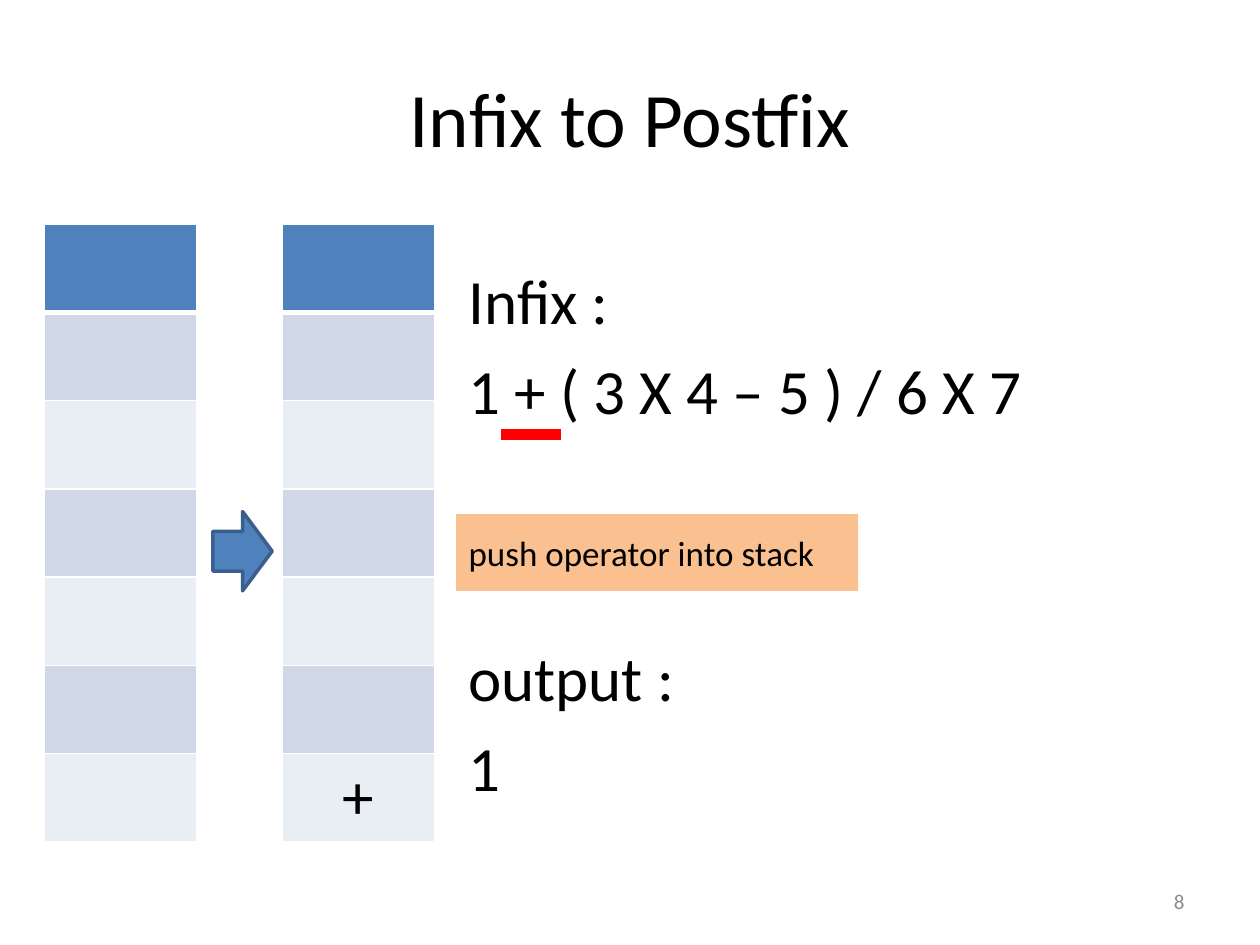
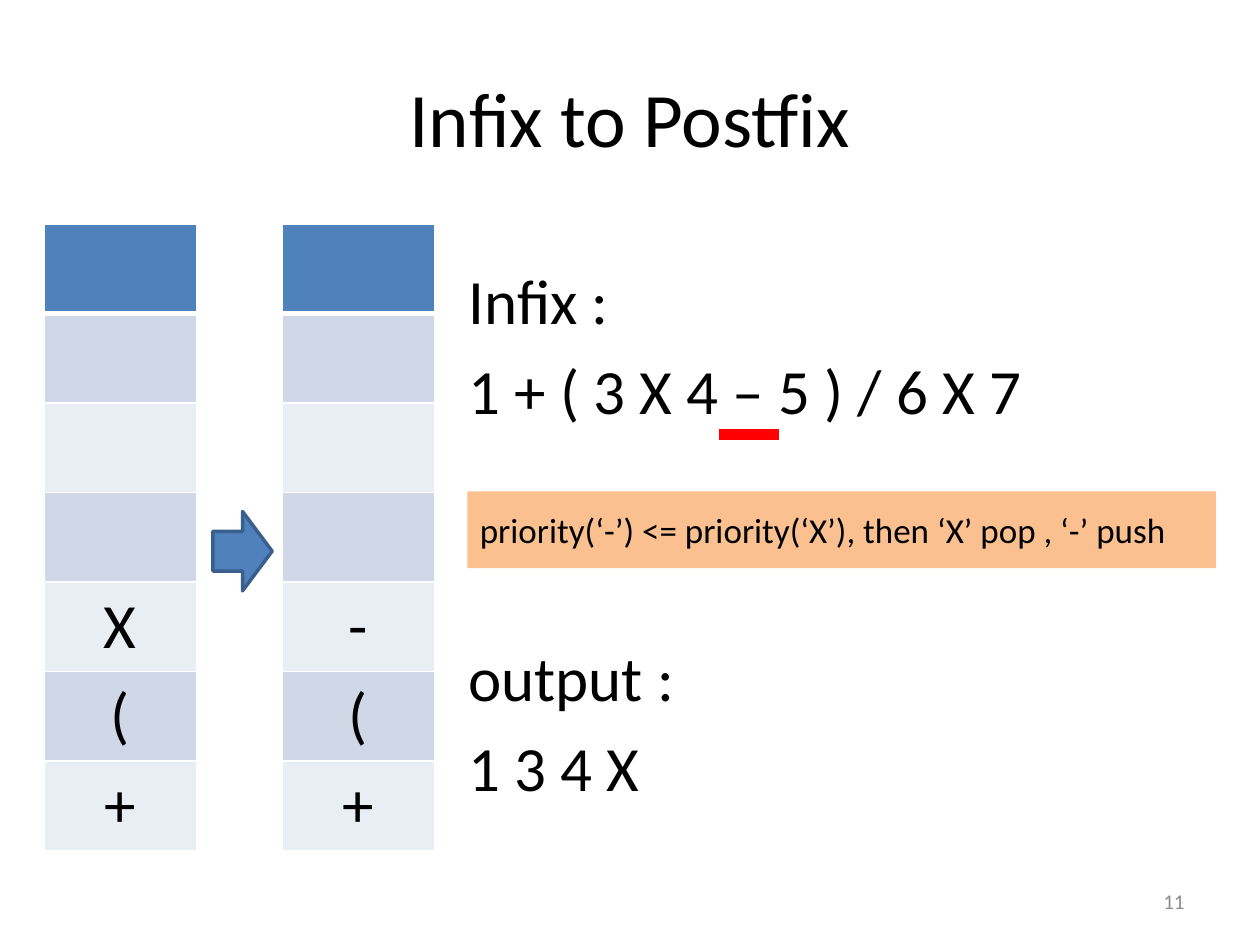
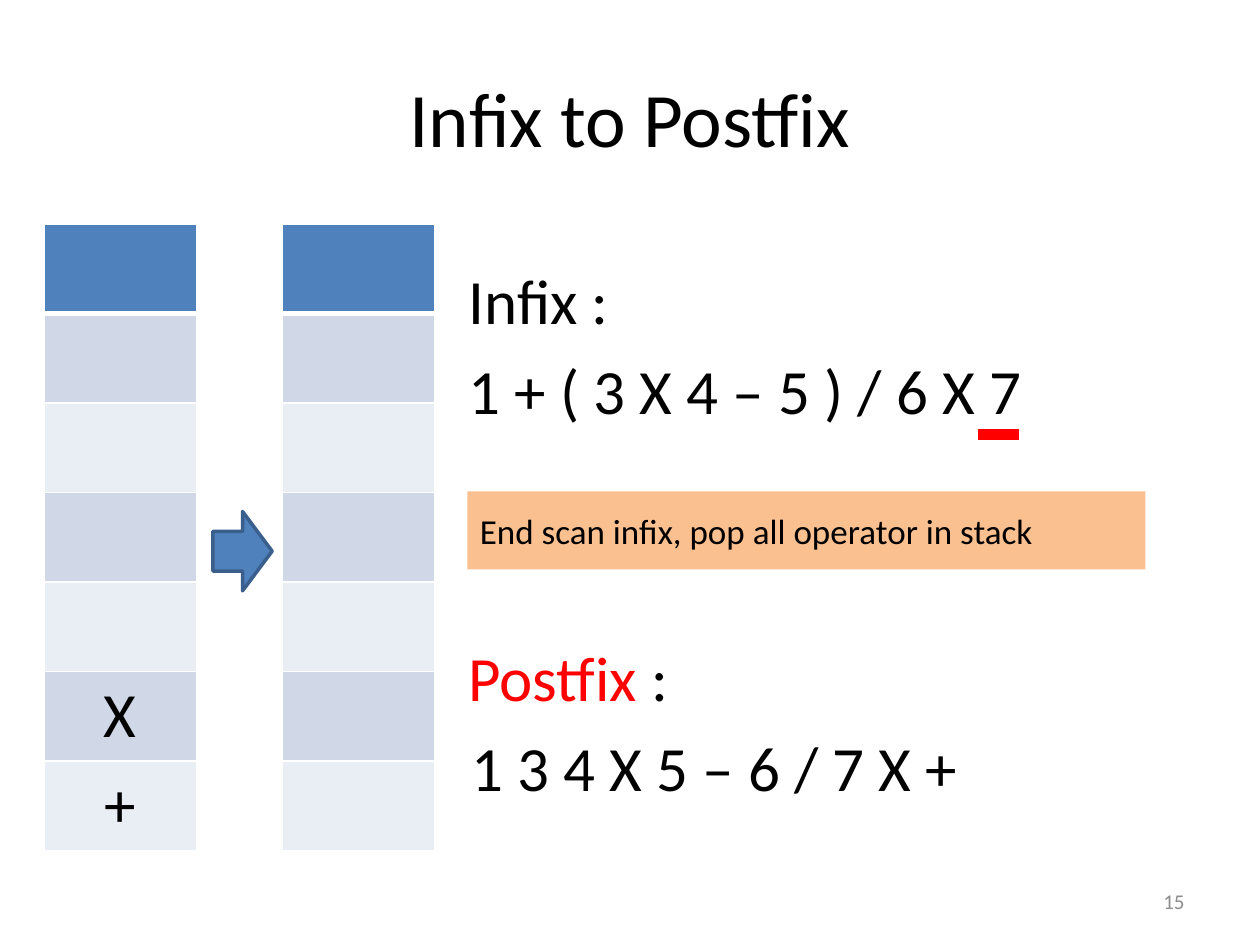
from dataclasses import dataclass

from lxml import etree
from pptx import Presentation
from pptx.dml.color import RGBColor
from pptx.enum.shapes import MSO_CONNECTOR, MSO_SHAPE
from pptx.enum.text import MSO_ANCHOR, MSO_AUTO_SIZE, PP_ALIGN
from pptx.oxml.ns import qn
from pptx.util import Inches, Pt

BLACK = RGBColor(0x00, 0x00, 0x00)
WHITE = RGBColor(0xFF, 0xFF, 0xFF)
RED = RGBColor(0xFF, 0x00, 0x00)
GREY = RGBColor(0x8C, 0x8C, 0x8C)
BLUE = RGBColor(0x4F, 0x81, 0xBD)
DARK_BLUE = RGBColor(0x3A, 0x5F, 0x8C)
BAND_DARK = RGBColor(0xD0, 0xD8, 0xE8)
BAND_LIGHT = RGBColor(0xE9, 0xED, 0xF4)
ORANGE = RGBColor(0xFA, 0xC0, 0x90)

LEFT, CENTER, RIGHT = PP_ALIGN.LEFT, PP_ALIGN.CENTER, PP_ALIGN.RIGHT
TOP, MIDDLE = MSO_ANCHOR.TOP, MSO_ANCHOR.MIDDLE
FIT = MSO_AUTO_SIZE.SHAPE_TO_FIT_TEXT
STRAIGHT = MSO_CONNECTOR.STRAIGHT
RECT, RIGHT_ARROW = MSO_SHAPE.RECTANGLE, MSO_SHAPE.RIGHT_ARROW

FONT = "Calibri"
BODY = 36
WIDTH, HEIGHT = Inches(10), Inches(7.5)
COLUMNS, ROWS = 100, 75  # layout grid of the slide
CELL_W, CELL_H = WIDTH / COLUMNS, HEIGHT / ROWS

TITLE = "Infix to Postfix"
INFIX = "1 + ( 3 X 4 – 5 ) / 6 X 7"
LEVELS = 7  # rows of a stack, header included

# Boxes are left, top, width, height in grid columns and rows.
TITLE_BOX = (5, 3, 90, 12.5)
NUMBER_BOX = (71.7, 69.5, 23.3, 4)
STACKS_BOX = (3.5, 17.8, 31, 49)
EXPRESSION_BOX = (36.2, 20.3, 62.9, 14.2)
OUTPUT_BOX = (36.2, 50.2, 53, 14.2)
LINE_H = 7.1


@dataclass
class Step:
    number: int
    before: str  # stack contents, top first
    after: str
    level_h: float
    scanned: tuple  # start and end of the underline, from the expression's left
    note: str
    note_box: tuple
    label: str
    label_color: RGBColor
    output: str
    output_shift: float = 0


STEPS = [
    Step(8, "", "+", 7, (3.6, 8.3), "push operator into stack",
         (36.2, 40.8, 31.9, 6.1), "output", BLACK, "1"),
    Step(11, "X(+", "-(+", 7.1, (20.9, 25.6),
         "priority(‘-’) <= priority(‘X’), then ‘X’ pop , ‘-’ push",
         (37.1, 39, 59.4, 6.1), "output", BLACK, "1 3 4 X"),
    Step(15, "X+", "", 7.1, (41.4, 44.7),
         "End scan infix, pop all operator in stack",
         (37.1, 39, 53.8, 6.2), "Postfix", RED, "1 3 4 X 5 – 6 / 7 X +", 0.2),
]


def emu(x, y, w, h):
    """Turn a grid box into slide lengths."""
    return round(x * CELL_W), round(y * CELL_H), round(w * CELL_W), round(h * CELL_H)


def style(p, size, color=BLACK, align=LEFT):
    p.alignment = align
    p.font.name = FONT
    p.font.size = Pt(size)
    p.font.color.rgb = color


def add_text(slide, box, text, size=BODY, color=BLACK, align=LEFT, anchor=TOP):
    tf = slide.shapes.add_textbox(*emu(*box)).text_frame
    tf.word_wrap = True
    tf.vertical_anchor = anchor
    if anchor == TOP:
        tf.auto_size = FIT
    p = tf.paragraphs[0]
    p.text = text
    style(p, size, color, align)
    return p


def add_preset(slide, kind, box, fill):
    sp = slide.shapes.add_shape(kind, *emu(*box))
    sp.shadow.inherit = False
    sp.fill.solid()
    sp.fill.fore_color.rgb = fill
    return sp


def set_borders(cell, widths):
    """Give a cell white borders; widths are in points by side."""
    tc_pr = cell._tc.get_or_add_tcPr()
    for side in "LRTB":
        ln = etree.SubElement(tc_pr, qn(f"a:ln{side}"), w=str(Pt(widths.get(side, 1))))
        fill = etree.SubElement(ln, qn("a:solidFill"))
        etree.SubElement(fill, qn("a:srgbClr"), val=str(WHITE))


def add_stack(slide, box, contents):
    """Draw a stack whose contents rest on the bottom row."""
    table = slide.shapes.add_table(LEVELS, 1, *emu(*box)).table
    for i, symbol in enumerate(contents.rjust(LEVELS)):
        cell = table.cell(i, 0)
        set_borders(cell, {0: {"B": 3}, 1: {"T": 3}}.get(i, {}))
        cell.fill.solid()
        cell.fill.fore_color.rgb = (BAND_DARK if i % 2 else BAND_LIGHT) if i else BLUE
        cell.margin_top = cell.margin_bottom = 0
        cell.vertical_anchor = MIDDLE
        p = cell.text_frame.paragraphs[0]
        p.text = symbol.strip()
        style(p, BODY, align=CENTER)


def add_stacks(slide, box, step):
    x, y, w, h = box
    stack_w, stack_h = 12.1, LEVELS * step.level_h
    add_stack(slide, (x, y, stack_w, stack_h), step.before)
    add_stack(slide, (x + w - stack_w, y, stack_w, stack_h), step.after)
    arrow_w, arrow_h = 4.7, 6.3
    arrow = add_preset(slide, RIGHT_ARROW,
                       (x + (w - arrow_w) / 2 + 0.25, y + (h - arrow_h) / 2 + 1.45,
                        arrow_w, arrow_h), BLUE)
    arrow.line.color.rgb = DARK_BLUE
    arrow.line.width = Pt(2)


def add_expression(slide, box, scanned):
    """Show the infix expression with its scanned symbol underlined."""
    x, y, w, h = box
    add_text(slide, (x, y, w, LINE_H), "Infix :")
    add_text(slide, (x, y + LINE_H, w, LINE_H), INFIX)
    start, end = scanned
    left, top, length, _ = emu(x + start, y + h, end - start, 0)
    line = slide.shapes.add_connector(STRAIGHT, left, top, left + length, top)
    line.line.color.rgb = RED
    line.line.width = Pt(6)
    etree.SubElement(line._element.spPr, qn("a:effectLst"))


def add_note(slide, box, text):
    sp = add_preset(slide, RECT, box, ORANGE)
    sp.line.fill.background()
    tf = sp.text_frame
    tf.word_wrap = True
    tf.vertical_anchor = MIDDLE
    p = tf.paragraphs[0]
    p.text = text
    style(p, 20)


def add_output(slide, box, step):
    x, y, w, _ = box
    p = add_text(slide, (x, y, w, LINE_H), f"{step.label} ")
    p.runs[0].font.color.rgb = step.label_color
    p.add_run().text = ":"
    add_text(slide, (x + step.output_shift, y + LINE_H, w, LINE_H), step.output)


def add_step_slide(prs, step):
    slide = prs.slides.add_slide(prs.slide_layouts[6])
    add_text(slide, TITLE_BOX, TITLE, 44, align=CENTER, anchor=MIDDLE)
    add_stacks(slide, STACKS_BOX, step)
    add_expression(slide, EXPRESSION_BOX, step.scanned)
    add_note(slide, step.note_box, step.note)
    add_output(slide, OUTPUT_BOX, step)
    add_text(slide, NUMBER_BOX, str(step.number), 12, GREY, RIGHT, MIDDLE)


def main():
    prs = Presentation()
    prs.slide_width, prs.slide_height = WIDTH, HEIGHT
    for step in STEPS:
        add_step_slide(prs, step)
    prs.save("out.pptx")


if __name__ == "__main__":
    main()
